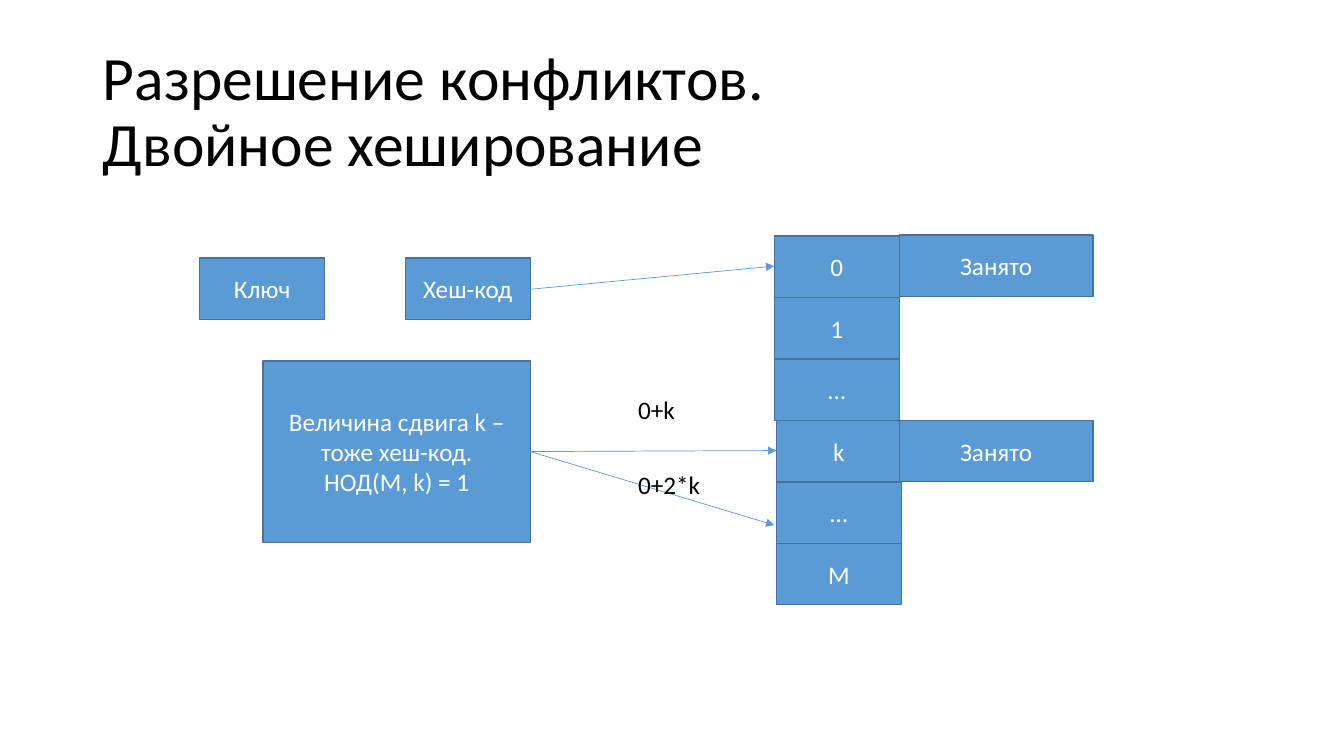
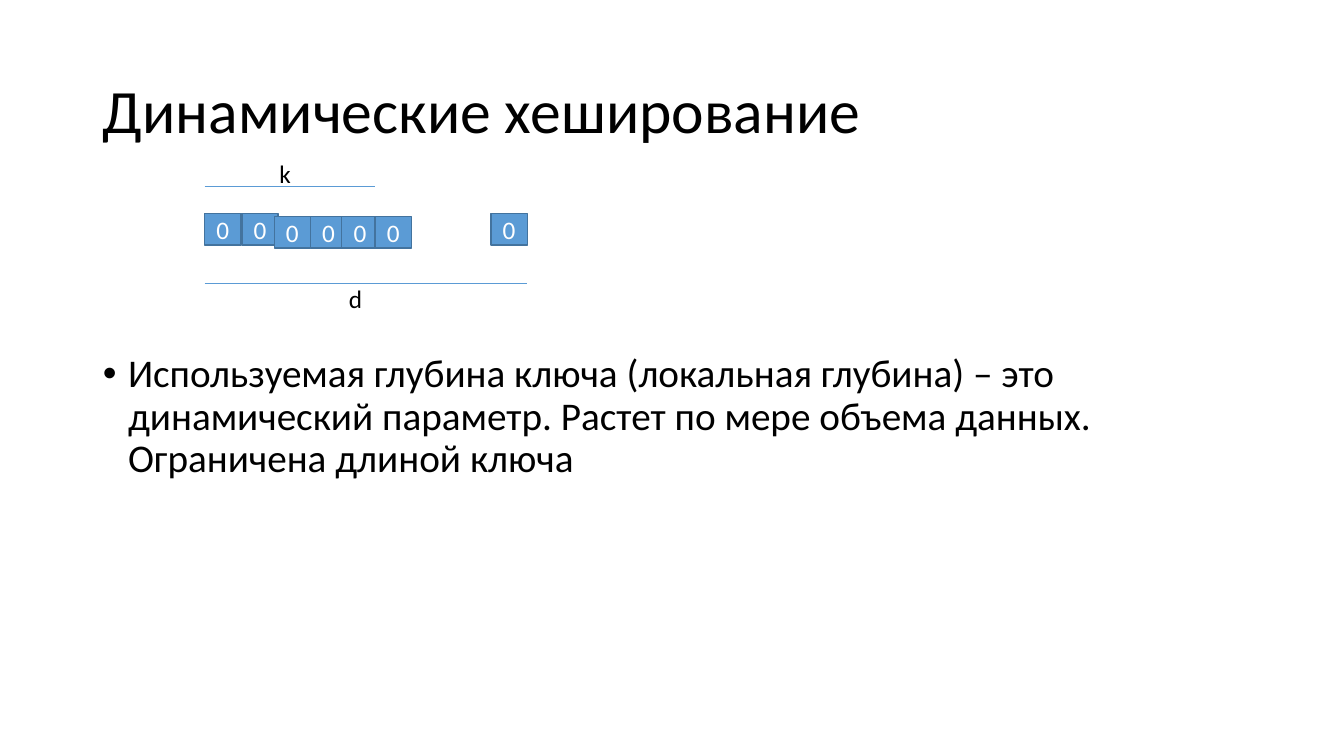
"""Build two slides on double hashing and dynamic hashing."""
from lxml import etree
from pptx import Presentation
from pptx.dml.color import RGBColor
from pptx.enum.shapes import MSO_CONNECTOR, MSO_SHAPE
from pptx.enum.text import MSO_ANCHOR, MSO_AUTO_SIZE, PP_ALIGN
from pptx.oxml.ns import qn
from pptx.util import Inches, Pt

RECTANGLE = MSO_SHAPE.RECTANGLE
STRAIGHT = MSO_CONNECTOR.STRAIGHT
MIDDLE, TOP = MSO_ANCHOR.MIDDLE, MSO_ANCHOR.TOP
LEFT, CENTER = PP_ALIGN.LEFT, PP_ALIGN.CENTER
NO_FIT = MSO_AUTO_SIZE.NONE

FONT = "Calibri"
COLORS = {"fill": "5B9BD5", "border": "43739E", "text": "000000",
          "light": "FFFFFF"}
TITLE_AREA = (0.92, 0.4, 11.5, 1.45)
BODY_AREA = (0.92, 3.46, 11.5, 3.3)
TITLE_LAYOUT, BODY_LAYOUT = 5, 1

CONFLICT_TITLE = ["Разрешение конфликтов.", "Двойное хеширование"]
CELL_W, CELL_H = 1.24, 0.61
TABLE_TOP = 2.34
TABLE_CELLS = [("0", 7.68), ("1", 7.68), ("…", 7.68),
               ("k", 7.7), ("…", 7.7), ("M", 7.7)]
KEY_BOXES = [("Ключ", 1.98), ("Хеш-код", 4.02)]
KEY_TOP = 2.56
BUSY_TEXT, BUSY_X, BUSY_W = "Занято", 8.92, 1.92
BUSY_TOPS = [2.33, 4.17]
SHIFT_TEXT = ["Величина сдвига k –тоже хеш-код.", "НОД(M, k) = 1"]
SHIFT_AREA = (2.61, 3.58, 2.65, 1.8)
ARROWS = [((5.26, 2.87), (7.68, 2.64)),
          ((5.26, 4.48), (7.7, 4.47)),
          ((5.26, 4.48), (7.68, 5.21))]
PROBES = [("0+k", 3.86), ("0+2*k", 4.61)]
PROBE_X = 6.23

DYNAMIC_TITLE = ["Динамические хеширование"]
DYNAMIC_BODY = ("Используемая глубина ключа (локальная глубина) – это "
                "динамический параметр. Растет по мере объема данных. "
                "Ограничена длиной ключа")
BIT_W, BIT_H = 0.36, 0.31
BITS = [(2.03, 2.12), (2.4, 2.12), (2.72, 2.15), (3.08, 2.15),
        (3.39, 2.15), (3.72, 2.15), (4.87, 2.12)]
DEPTHS = [("d", (3.46, 2.76), (2.03, 2.81), (5.23, 2.81)),
          ("k", (2.77, 1.52), (2.03, 1.85), (3.72, 1.85))]


def color(name):
    return RGBColor.from_string(COLORS[name])


def inches(values):
    return [Inches(value) for value in values]


def add_span(para, text, size, tone):
    span = para.add_run()
    span.text = text
    span.font.name = FONT
    span.font.size = Pt(size)
    span.font.color.rgb = color(tone)


def place(holder, area, anchor):
    holder.left, holder.top, holder.width, holder.height = inches(area)
    frame = holder.text_frame
    frame.auto_size = NO_FIT
    frame.vertical_anchor = anchor
    para = frame.paragraphs[0]
    para.alignment = LEFT
    para.line_spacing = 0.9
    return para


def add_slide(deck, layout, title_lines):
    slide = deck.slides.add_slide(deck.slide_layouts[layout])
    para = place(slide.shapes.title, TITLE_AREA, MIDDLE)
    for index, line in enumerate(title_lines):
        if index:
            para.add_line_break()
        add_span(para, line, 44, "text")
    return slide


def add_box(slide, lines, area):
    box = slide.shapes.add_shape(RECTANGLE, *inches(area))
    box.shadow.inherit = False
    box.fill.solid()
    box.fill.fore_color.rgb = color("fill")
    box.line.color.rgb = color("border")
    box.line.width = Pt(1)
    frame = box.text_frame
    frame.word_wrap = True
    frame.vertical_anchor = MIDDLE
    for index, line in enumerate(lines):
        para = frame.add_paragraph() if index else frame.paragraphs[0]
        para.alignment = CENTER
        add_span(para, line, 18, "light")


def add_label(slide, text, position, width, inset=0.1):
    box = slide.shapes.add_textbox(*inches((*position, width, 0.4)))
    frame = box.text_frame
    frame.word_wrap = True
    frame.margin_left = frame.margin_right = Inches(inset)
    add_span(frame.paragraphs[0], text, 18, "text")


def add_line(slide, start, end, arrow=False):
    line = slide.shapes.add_connector(STRAIGHT, *inches((*start, *end)))
    line.line.color.rgb = color("fill")
    line.line.width = Pt(0.5)
    properties = line.element.spPr
    if arrow:
        outline = properties.find(qn("a:ln"))
        etree.SubElement(outline, qn("a:tailEnd"), type="triangle")
    etree.SubElement(properties, qn("a:effectLst"))


def build_conflicts(deck):
    slide = add_slide(deck, TITLE_LAYOUT, CONFLICT_TITLE)
    for text, x in KEY_BOXES:
        add_box(slide, [text], (x, KEY_TOP, CELL_W, CELL_H))
    for row, (text, x) in enumerate(TABLE_CELLS):
        add_box(slide, [text], (x, TABLE_TOP + row * CELL_H, CELL_W, CELL_H))
    for y in BUSY_TOPS:
        add_box(slide, [BUSY_TEXT], (BUSY_X, y, BUSY_W, CELL_H))
    add_box(slide, SHIFT_TEXT, SHIFT_AREA)
    for start, end in ARROWS:
        add_line(slide, start, end, arrow=True)
    for text, y in PROBES:
        add_label(slide, text, (PROBE_X, y), 0.85)


def build_dynamic(deck):
    slide = add_slide(deck, BODY_LAYOUT, DYNAMIC_TITLE)
    para = place(slide.placeholders[1], BODY_AREA, TOP)
    para.space_before = Pt(10)
    properties = para._p.get_or_add_pPr()
    properties.set("marL", str(Inches(0.25)))
    properties.set("indent", str(Inches(-0.25)))
    etree.SubElement(properties, qn("a:buFont"), typeface="Arial")
    etree.SubElement(properties, qn("a:buChar"), char="•")
    add_span(para, DYNAMIC_BODY, 28, "text")
    for position in BITS:
        add_box(slide, ["0"], (*position, BIT_W, BIT_H))
    for text, position, start, end in DEPTHS:
        add_line(slide, start, end)
        add_label(slide, text, position, 0.2, inset=0)


def main():
    deck = Presentation()
    deck.slide_width, deck.slide_height = inches((13.33, 7.5))
    build_conflicts(deck)
    build_dynamic(deck)
    deck.save("out.pptx")


if __name__ == "__main__":
    main()
